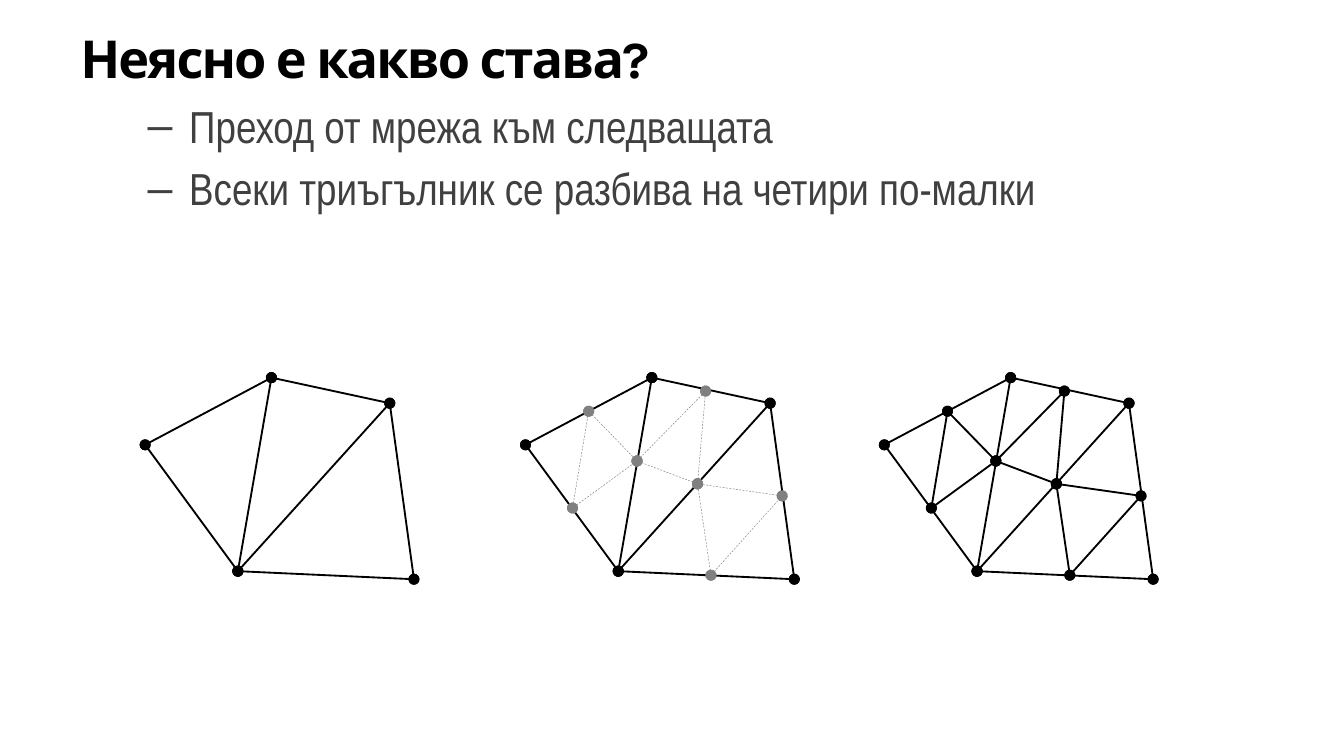
"""Build a slide showing how a triangle mesh is subdivided."""
import pptx
import pptx.dml.color
import pptx.enum.dml
import pptx.enum.shapes
import pptx.oxml.ns
import pptx.util
from lxml import etree

BLACK = pptx.dml.color.RGBColor(0x00, 0x00, 0x00)
DARK = pptx.dml.color.RGBColor(0x40, 0x40, 0x40)
GRAY = pptx.dml.color.RGBColor(0x80, 0x80, 0x80)

WIDTH = pptx.util.Inches(10)
HEIGHT = WIDTH * 9 // 16

TITLE = "Неясно е какво става?"
BULLETS = [
    "Преход от мрежа към следващата",
    "Всеки триъгълник се разбива на четири по-малки",
]
POINTS = {
    "A": (1.08, 3.31), "B": (2.02, 2.81), "C": (2.9, 3),
    "D": (3.08, 4.31), "E": (1.77, 4.25),
    "ab": (1.55, 3.06), "ae": (1.43, 3.78), "be": (1.91, 3.43),
    "bc": (2.42, 2.91), "ce": (2.36, 3.6), "cd": (2.99, 3.69),
    "de": (2.46, 4.28),
}
COARSE = ["C B", "B E", "D E", "C D", "B A", "A E", "C E"]
FINE = ["be ce", "ce bc", "cd ce", "bc be", "de cd", "de ce",
        "ab be", "ae be", "ae ab"]
SOLID = {"color": BLACK, "width": 1}
DASHED = {"color": GRAY, "width": 0.25, "dash": pptx.enum.dml.MSO_LINE.DASH}
MESHES = [
    (0, [(COARSE, SOLID)]),
    (2.83, [(COARSE, SOLID), (FINE, DASHED)]),
    (5.5, [(COARSE, SOLID), (FINE, SOLID)]),
]


def add_text(p, text, *, font, size, color, bold=False, margin=0, indent=0,
             before=0, bullet=None, spacing=0):
    pPr = p._p.get_or_add_pPr()
    pPr.set("marL", str(pptx.util.Inches(margin)))
    pPr.set("indent", str(pptx.util.Inches(indent)))
    p.space_before = pptx.util.Pt(before)
    if bullet:
        etree.SubElement(pPr, pptx.oxml.ns.qn("a:buFont"), typeface="Arial")
        etree.SubElement(pPr, pptx.oxml.ns.qn("a:buChar"), char=bullet)
    r = p.add_run()
    r.text = text
    r.font.name = font
    r.font.size = pptx.util.Pt(size)
    r.font.bold = bold
    r.font.color.rgb = color
    r._r.get_or_add_rPr().set("spc", str(spacing))


def add_edge(s, start, end, *, color, width, dash=None):
    ends = [pptx.util.Inches(v) for v in (*start, *end)]
    edge = s.shapes.add_connector(
        pptx.enum.shapes.MSO_CONNECTOR.STRAIGHT, *ends)
    edge.line.color.rgb = color
    edge.line.width = pptx.util.Pt(width)
    if dash:
        edge.line.dash_style = dash
    ln = edge.line._get_or_add_ln()
    for tag in ("a:headEnd", "a:tailEnd"):
        etree.SubElement(ln, pptx.oxml.ns.qn(tag), type="oval")
    etree.SubElement(edge._element.spPr, pptx.oxml.ns.qn("a:effectLst"))


def main():
    prs = pptx.Presentation()
    prs.slide_width = WIDTH
    prs.slide_height = HEIGHT
    s = prs.slides.add_slide(prs.slide_layouts[6])

    box = [pptx.util.Inches(v) for v in (0.5, 0.15, 9.5, 5.33)]
    tf = s.shapes.add_textbox(*box).text_frame
    tf.word_wrap = True
    add_text(tf.paragraphs[0], TITLE, font="Karla", size=28, color=BLACK,
             bold=True, margin=0.38, indent=-0.38, spacing=-100)
    for bullet in BULLETS:
        add_text(tf.add_paragraph(), bullet, font="Arial Narrow", size=24,
                 color=DARK, margin=0.81, indent=-0.31, before=4.8, bullet="–")

    for dx, layers in MESHES:
        for edges, style in layers:
            for edge in edges:
                start, end = [(POINTS[n][0] + dx, POINTS[n][1])
                              for n in edge.split()]
                add_edge(s, start, end, **style)

    prs.save("out.pptx")


if __name__ == "__main__":
    main()
